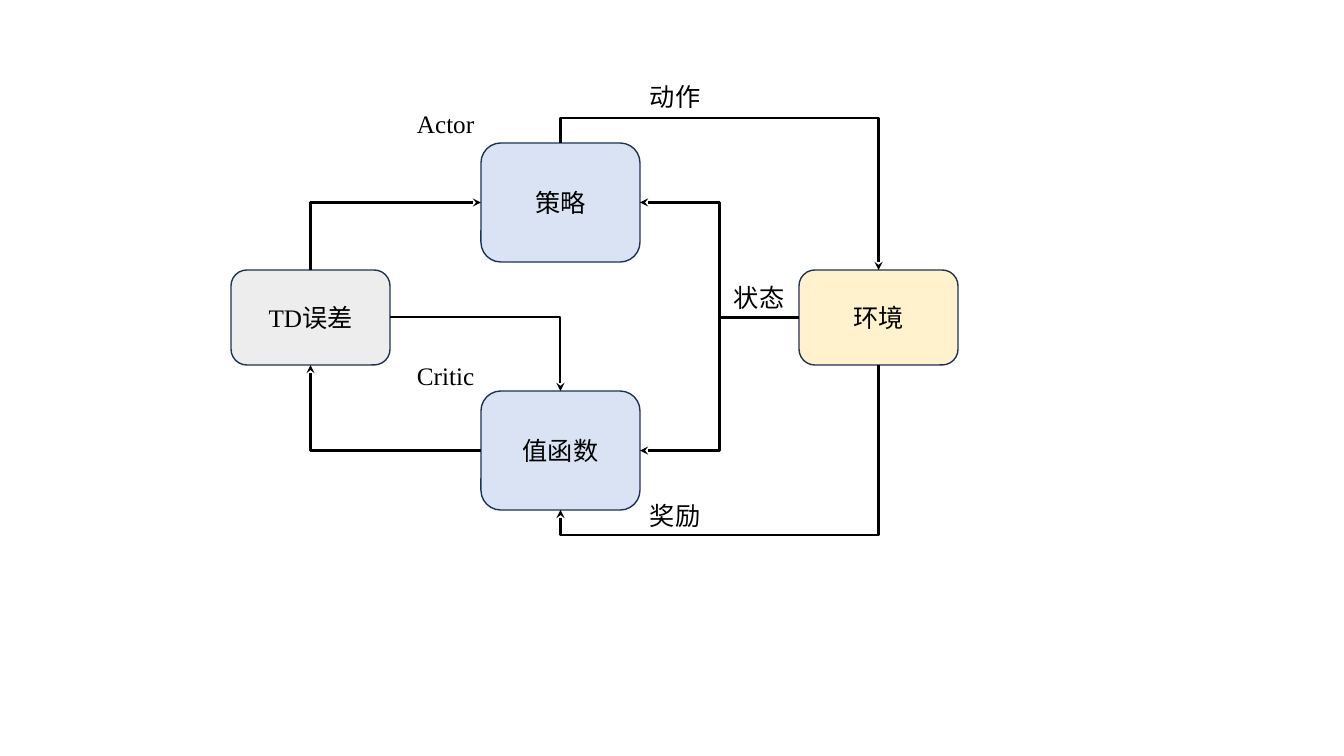
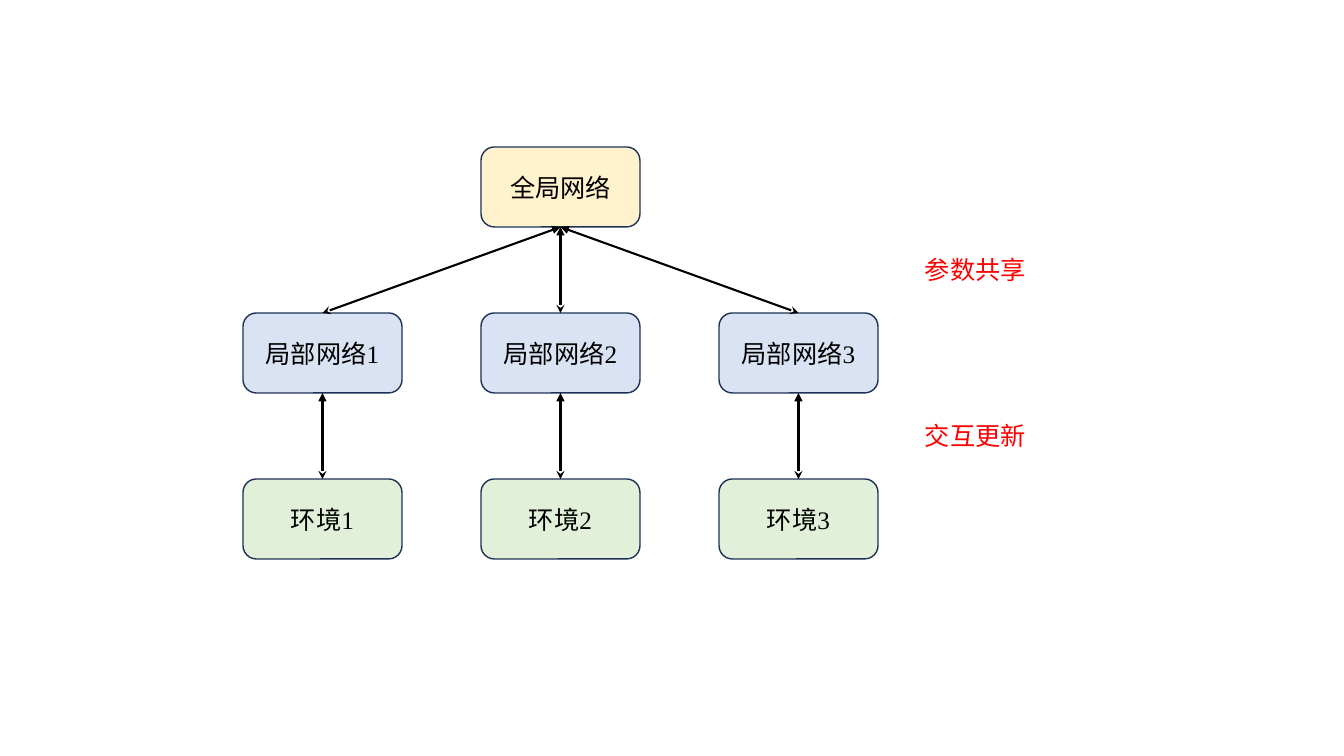
from dataclasses import dataclass

from lxml import etree
from pptx import Presentation
from pptx.dml.color import RGBColor
from pptx.enum.shapes import MSO_CONNECTOR, MSO_SHAPE
from pptx.enum.text import MSO_ANCHOR, MSO_AUTO_SIZE, PP_ALIGN
from pptx.oxml.ns import qn
from pptx.shapes.autoshape import Shape
from pptx.shapes.connector import Connector
from pptx.slide import Slide
from pptx.text.text import TextFrame
from pptx.util import Emu, Pt

ROUNDED = MSO_SHAPE.ROUNDED_RECTANGLE
STRAIGHT = MSO_CONNECTOR.STRAIGHT
ELBOW = MSO_CONNECTOR.ELBOW
MIDDLE = MSO_ANCHOR.MIDDLE
TOP_ANCHOR = MSO_ANCHOR.TOP
CENTER = PP_ALIGN.CENTER
LEFT_ALIGN = PP_ALIGN.LEFT
FIT_SHAPE = MSO_AUTO_SIZE.SHAPE_TO_FIT_TEXT

BLACK = RGBColor(0x00, 0x00, 0x00)
RED = RGBColor(0xFF, 0x00, 0x00)
OUTLINE = RGBColor(0x1E, 0x32, 0x56)
BLUE = RGBColor(0xDA, 0xE3, 0xF3)
YELLOW = RGBColor(0xFF, 0xF2, 0xCC)
GREY = RGBColor(0xED, 0xED, 0xED)
GREEN = RGBColor(0xE2, 0xF0, 0xD9)

LATIN_FONT = "Times New Roman"
CHINESE_FONT = "Noto Sans CJK SC"
TEXT_SIZE = Pt(18)
EMU_PER_PIXEL = 914400 / 100.8
BOX_WIDTH = 159
LABEL_HEIGHT = 40
TOP, LEFT, BOTTOM, RIGHT = range(4)


@dataclass(frozen=True)
class Box:
    text: str
    left: int
    top: int
    height: int
    fill: RGBColor


@dataclass(frozen=True)
class Label:
    text: str
    left: int
    top: int
    width: int
    font: str = CHINESE_FONT
    color: RGBColor = BLACK


@dataclass(frozen=True)
class Elbow:
    start: str
    start_side: int
    end: str
    end_side: int
    preset: str
    turn: int = 0
    flips: tuple[str, ...] = ()
    bend: float = 0.5


def pixels(count: int) -> Emu:
    return Emu(round(count * EMU_PER_PIXEL))


def write_text(frame: TextFrame, text: str, font: str, color: RGBColor,
               alignment: PP_ALIGN) -> None:
    para = frame.paragraphs[0]
    para.text = text
    para.alignment = alignment
    para.font.name = font
    para.font.size = TEXT_SIZE
    para.font.color.rgb = color
    properties = para.font._element
    etree.SubElement(properties, qn("a:ea")).set("typeface", CHINESE_FONT)


def draw_box(page: Slide, box: Box) -> Shape:
    shape = page.shapes.add_shape(ROUNDED, pixels(box.left), pixels(box.top),
                                  pixels(BOX_WIDTH), pixels(box.height))
    shape.shadow.inherit = False
    shape.fill.solid()
    shape.fill.fore_color.rgb = box.fill
    shape.line.color.rgb = OUTLINE
    shape.line.width = Pt(1)
    shape.text_frame.vertical_anchor = MIDDLE
    write_text(shape.text_frame, box.text, LATIN_FONT, BLACK, CENTER)
    return shape


def draw_label(page: Slide, label: Label) -> None:
    shape = page.shapes.add_textbox(pixels(label.left), pixels(label.top),
                                    pixels(label.width), pixels(LABEL_HEIGHT))
    frame = shape.text_frame
    frame.word_wrap = False
    frame.auto_size = FIT_SHAPE
    frame.vertical_anchor = TOP_ANCHOR
    write_text(frame, label.text, label.font, label.color, LEFT_ALIGN)


def draw_arrow(page: Slide, kind: MSO_CONNECTOR, start: Shape, start_side: int,
               end: Shape, end_side: int, two_way: bool) -> Connector:
    arrow = page.shapes.add_connector(kind, 0, 0, 0, 0)
    arrow.begin_connect(start, start_side)
    arrow.end_connect(end, end_side)
    arrow.line.color.rgb = BLACK
    arrow.line.width = Pt(1.5)
    line = arrow.line._get_or_add_ln()
    if two_way:
        etree.SubElement(line, qn("a:headEnd")).set("type", "triangle")
    etree.SubElement(line, qn("a:tailEnd")).set("type", "stealth")
    etree.SubElement(arrow._element.spPr, qn("a:effectLst"))
    return arrow


def draw_elbow(page: Slide, elbow: Elbow, shapes: dict[str, Shape]) -> None:
    arrow = draw_arrow(page, ELBOW, shapes[elbow.start], elbow.start_side,
                       shapes[elbow.end], elbow.end_side, False)
    if elbow.turn % 180:
        shift = (arrow.width - arrow.height) // 2
        arrow.left, arrow.top = arrow.left + shift, arrow.top - shift
        arrow.width, arrow.height = arrow.height, arrow.width
    frame = arrow._element.spPr.find(qn("a:xfrm"))
    frame.set("rot", str(elbow.turn * 60000))
    for flip in ("flipH", "flipV"):
        frame.set(flip, "1" if flip in elbow.flips else "0")
    geometry = arrow._element.spPr.find(qn("a:prstGeom"))
    geometry.set("prst", elbow.preset)
    if elbow.bend != 0.5:
        guide = etree.SubElement(geometry.find(qn("a:avLst")), qn("a:gd"))
        guide.set("name", "adj1")
        guide.set("fmla", f"val {round(elbow.bend * 100000)}")


def build_actor_critic(page: Slide) -> None:
    boxes = {
        "critic": Box("值函数", 481, 391, 119, BLUE),
        "actor": Box("策略", 481, 143, 119, BLUE),
        "environment": Box("环境", 799, 270, 95, YELLOW),
        "error": Box("TD误差", 231, 270, 95, GREY),
    }
    elbows = (
        Elbow("environment", LEFT, "actor", RIGHT, "bentConnector3", 180),
        Elbow("environment", LEFT, "critic", RIGHT, "bentConnector3", 180, ("flipV",)),
        Elbow("actor", TOP, "environment", TOP, "bentConnector3", 270, ("flipH",), -0.2),
        Elbow("environment", BOTTOM, "critic", BOTTOM, "bentConnector3", 90, (), 1.17),
        Elbow("critic", LEFT, "error", BOTTOM, "bentConnector2", 180),
        Elbow("error", TOP, "actor", LEFT, "bentConnector2", 90, ("flipH", "flipV")),
        Elbow("error", RIGHT, "critic", TOP, "bentConnector2"),
    )
    labels = (
        Label("Actor", 407, 103, 79, LATIN_FONT),
        Label("Critic", 407, 355, 79, LATIN_FONT),
        Label("状态", 724, 277, 72),
        Label("动作", 640, 76, 72),
        Label("奖励", 640, 495, 72),
    )
    shapes = {name: draw_box(page, box) for name, box in boxes.items()}
    for elbow in elbows:
        draw_elbow(page, elbow, shapes)
    for label in labels:
        draw_label(page, label)


def build_parallel_workers(page: Slide) -> None:
    first_left, column_step = 243, 238
    first_top, row_step, height = 147, 166, 80
    local_top = first_top + row_step
    environment_top = local_top + row_step
    center_left = first_left + column_step
    network = draw_box(page, Box("全局网络", center_left, first_top, height, YELLOW))
    for column in range(3):
        left = first_left + column * column_step
        number = column + 1
        local = draw_box(page, Box(f"局部网络{number}", left, local_top, height, BLUE))
        environment = draw_box(
            page, Box(f"环境{number}", left, environment_top, height, GREEN))
        for upper, lower in ((network, local), (local, environment)):
            draw_arrow(page, STRAIGHT, upper, BOTTOM, lower, TOP, True)
    for row, text in enumerate(("参数共享", "交互更新")):
        draw_label(page, Label(text, 915, 249 + row * row_step, 122, color=RED))


def main() -> None:
    deck = Presentation()
    deck.slide_width = pixels(1344)
    deck.slide_height = pixels(756)
    blank = deck.slide_layouts[6]
    for build in (build_actor_critic, build_parallel_workers):
        build(deck.slides.add_slide(blank))
    deck.save("out.pptx")


main()
